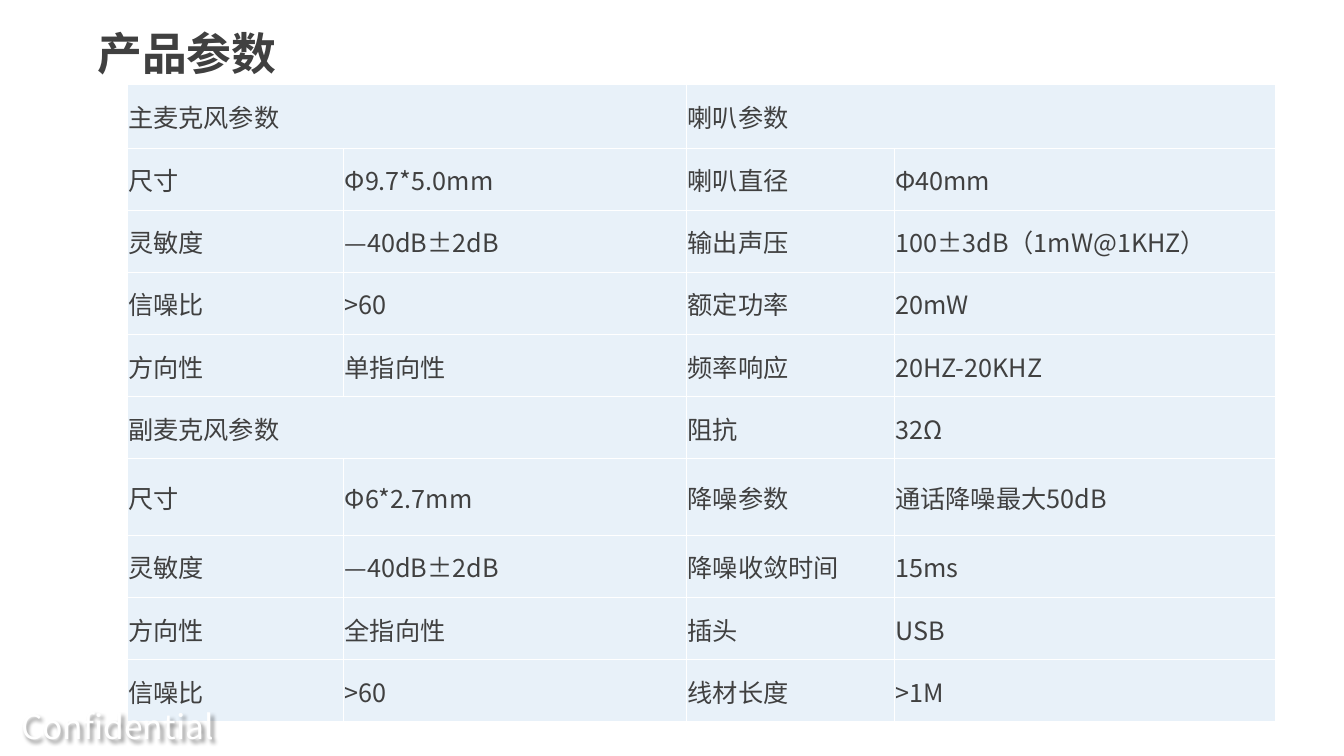
from dataclasses import dataclass

from lxml import etree
from pptx import Presentation
from pptx.dml.color import RGBColor
from pptx.enum.text import MSO_ANCHOR, MSO_AUTO_SIZE, PP_ALIGN
from pptx.oxml.ns import qn
from pptx.util import Inches, Pt

MIDDLE, CENTER = MSO_ANCHOR.MIDDLE, PP_ALIGN.CENTER
FIT_SHAPE, NO_FIT = MSO_AUTO_SIZE.SHAPE_TO_FIT_TEXT, MSO_AUTO_SIZE.NONE
FONT = "Noto Sans CJK SC"
INK = RGBColor(0x40, 0x40, 0x40)
WHITE = RGBColor(0xFF, 0xFF, 0xFF)
BLACK = RGBColor(0x00, 0x00, 0x00)
PALE_BLUE = RGBColor(0x9D, 0xC3, 0xE6)
FILL_OPACITY, SHADOW_OPACITY = 23, 43

# Table grid, in inches
TABLE_LEFT, TABLE_TOP, TABLE_HEIGHT = 1.26, 0.84, 6.32
COLUMN_WIDTHS = [2.15, 3.4, 2.06, 3.78]
HEADER_HEIGHT, NOISE_ROW_HEIGHT, NOISE_ROW = 0.63, 0.76, 6


@dataclass(frozen=True)
class SpecRow:
    """One row: microphone name and value, then speaker name and value.

    A value of None means the name spans both columns.
    """
    mic: str
    mic_value: str | None
    speaker: str
    speaker_value: str | None


SPECS = [
    SpecRow("主麦克风参数", None, "喇叭参数", None),
    SpecRow("尺寸", "Φ9.7*5.0mm", "喇叭直径", "Φ40mm"),
    SpecRow("灵敏度", "—40dB±2dB", "输出声压", "100±3dB（1mW@1KHZ）"),
    SpecRow("信噪比", ">60", "额定功率", "20mW"),
    SpecRow("方向性", "单指向性", "频率响应", "20HZ-20KHZ"),
    SpecRow("副麦克风参数", None, "阻抗", "32Ω"),
    SpecRow("尺寸", "Φ6*2.7mm", "降噪参数", "通话降噪最大50dB"),
    SpecRow("灵敏度", "—40dB±2dB", "降噪收敛时间", "15ms"),
    SpecRow("方向性", "全指向性", "插头", "USB"),
    SpecRow("信噪比", ">60", "线材长度", ">1M"),
]


def set_font(paragraph, size: float, color: RGBColor, bold: bool = False) -> None:
    font = paragraph.font
    font.size, font.bold, font.name = Pt(size), bold, FONT
    font.color.rgb = color
    properties = paragraph._p.pPr.find(qn("a:defRPr"))
    etree.SubElement(properties, qn("a:ea"), typeface=FONT)


def add_alpha(color_element, opacity: int) -> None:
    etree.SubElement(color_element, qn("a:alpha"), val=str(opacity * 1000))


def add_color(parent, color: RGBColor):
    return etree.SubElement(parent, qn("a:srgbClr"), val=str(color))


def style_cell(cell) -> None:
    """White 1 pt borders around a translucent blue fill."""
    cell.fill.solid()
    cell.fill.fore_color.rgb = PALE_BLUE
    properties = cell._tc.tcPr
    add_alpha(properties.find(qn("a:solidFill")).find(qn("a:srgbClr")), FILL_OPACITY)
    for position, side in enumerate(("lnL", "lnR", "lnT", "lnB")):
        border = etree.Element(qn(f"a:{side}"), w=str(Pt(1)))
        add_color(etree.SubElement(border, qn("a:solidFill")), WHITE)
        properties.insert(position, border)
    cell.vertical_anchor = MIDDLE
    cell.margin_left = cell.margin_right = cell.margin_top = Inches(0.01)
    cell.margin_bottom = 0


def add_title(slide, text: str) -> None:
    title = slide.shapes.title
    title.left, title.top = Inches(0.8), Inches(0.25)
    title.width, title.height = Inches(2.11), Inches(0.62)
    frame = title.text_frame
    frame.text = text
    frame.vertical_anchor, frame.auto_size = MIDDLE, NO_FIT
    heading = frame.paragraphs[0]
    heading.alignment, heading.line_spacing = CENTER, 0.9
    set_font(heading, 32, INK, bold=True)


def add_spec_table(slide) -> None:
    table = slide.shapes.add_table(
        len(SPECS), len(COLUMN_WIDTHS), Inches(TABLE_LEFT), Inches(TABLE_TOP),
        Inches(sum(COLUMN_WIDTHS)), Inches(TABLE_HEIGHT)).table
    table.first_row = table.horz_banding = False
    for column, width in zip(table.columns, COLUMN_WIDTHS):
        column.width = Inches(width)
    plain_height = (TABLE_HEIGHT - HEADER_HEIGHT - NOISE_ROW_HEIGHT) / (len(SPECS) - 2)
    heights = {0: HEADER_HEIGHT, NOISE_ROW: NOISE_ROW_HEIGHT}

    for r, spec in enumerate(SPECS):
        table.rows[r].height = Inches(heights.get(r, plain_height))
        entries = (spec.mic, spec.mic_value, spec.speaker, spec.speaker_value)
        for c, entry in enumerate(entries):
            cell = table.cell(r, c)
            style_cell(cell)
            if entry is None:
                table.cell(r, c - 1).merge(cell)
                continue
            cell.text = entry
            set_font(cell.text_frame.paragraphs[0], 18, INK)


def add_confidential_mark(slide) -> None:
    mark = slide.shapes.add_textbox(
        Inches(0.11), Inches(6.92), Inches(2.11), Inches(0.56))
    frame = mark.text_frame
    frame.text = "Confidential"
    frame.word_wrap, frame.auto_size = False, FIT_SHAPE
    frame.vertical_anchor = MIDDLE
    frame.margin_left = frame.margin_right = Inches(0.08)
    frame.margin_top = frame.margin_bottom = Inches(0.08)
    label = frame.paragraphs[0]
    label.alignment = CENTER
    set_font(label, 24, WHITE)
    # The unfilled box casts its shadow from the white letters
    effects = etree.SubElement(mark._element.spPr, qn("a:effectLst"))
    shadow = etree.SubElement(
        effects, qn("a:outerShdw"), blurRad=str(Pt(3)), dist=str(Pt(3)),
        dir="2700000", algn="tl", rotWithShape="0")
    add_alpha(add_color(shadow, BLACK), SHADOW_OPACITY)


def main() -> None:
    deck = Presentation()
    deck.slide_width, deck.slide_height = Inches(13.33), Inches(7.5)
    slide = deck.slides.add_slide(deck.slide_layouts[5])
    add_title(slide, "产品参数")
    add_spec_table(slide)
    add_confidential_mark(slide)
    deck.save("out.pptx")


if __name__ == "__main__":
    main()
